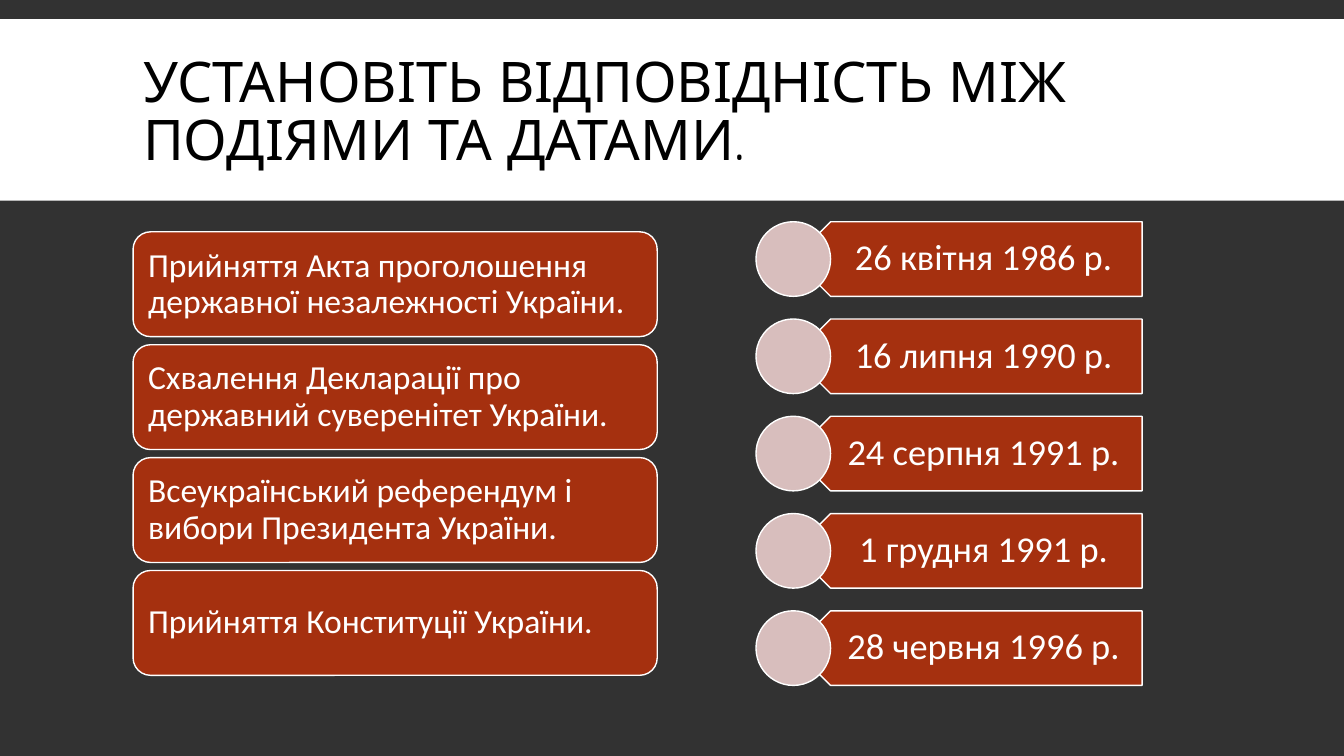
import pptx
import pptx.dml.color
import pptx.enum.shapes
import pptx.enum.text
import pptx.util

COLS, ROWS = 40, 30
KIND = pptx.enum.shapes.MSO_SHAPE
ALIGN = pptx.enum.text.PP_ALIGN
DARK, WHITE, BLACK = "323232", "FFFFFF", "000000"
RUST, ROSE = "A5300F", "D8BEBD"

EVENTS = [
    "Прийняття Акта проголошення державної незалежності України.",
    "Схвалення Декларації про державний суверенітет України.",
    "Всеукраїнський референдум і вибори Президента України.",
    "Прийняття Конституції України.",
]
DATES = [
    "26 квітня 1986 р.",
    "16 липня 1990 р.",
    "24 серпня 1991 р.",
    "1 грудня 1991 р.",
    "28 червня 1996 р.",
]


def paint(fill, code):
    fill.solid()
    fill.fore_color.rgb = pptx.dml.color.RGBColor.from_string(code)


def write(shape, text, size=24, font="Calibri", color=WHITE,
          align=ALIGN.LEFT, lead=0.9, pad=(0.1, 0.1, 0.1, 0.1)):
    frame = shape.text_frame
    frame.word_wrap = True
    frame.auto_size = pptx.enum.text.MSO_AUTO_SIZE.NONE
    frame.vertical_anchor = pptx.enum.text.MSO_ANCHOR.MIDDLE
    (frame.margin_left, frame.margin_top,
     frame.margin_right, frame.margin_bottom) = map(pptx.util.Inches, pad)
    para = frame.paragraphs[0]
    para.alignment = align
    para.line_spacing = lead
    run = para.add_run()
    run.text = text
    run.font.name = font
    run.font.size = pptx.util.Pt(size)
    paint(run.font.fill, color)


class Deck:
    """Holds the style and the current slide; places are in grid units."""

    def __init__(self):
        self.file = pptx.Presentation()
        self.file.slide_width = pptx.util.Inches(13.33)
        self.file.slide_height = pptx.util.Inches(7.5)
        self.slide = self.file.slides.add_slide(self.file.slide_layouts[5])
        paint(self.slide.background.fill, DARK)

    def grid(self, col, row, wide, high):
        x = self.file.slide_width / COLS
        y = self.file.slide_height / ROWS
        return [round(n) for n in (col * x, row * y, wide * x, high * y)]

    def shape(self, kind, place, fill, line=WHITE):
        shape = self.slide.shapes.add_shape(kind, *self.grid(*place))
        shape.shadow.inherit = False
        paint(shape.fill, fill)
        if line:
            paint(shape.line.fill, line)
            shape.line.width = pptx.util.Pt(1)
        else:
            shape.line.fill.background()
        return shape

    def title(self, text, place):
        title = self.slide.shapes.title
        title.left, title.top, title.width, title.height = self.grid(*place)
        write(title, text, size=40, font="Quicksand", color=BLACK,
              lead=0.85, pad=(0.1, 0.05, 0.1, 0.05))

    def band(self, place):
        band = self.shape(KIND.RECTANGLE, place, WHITE, line=None)
        self.slide.shapes.title.element.addprevious(band.element)

    def card(self, text, row):
        card = self.shape(KIND.ROUNDED_RECTANGLE, (3.96, row, 15.6, 4.16), RUST)
        write(card, text)

    def date(self, text, row):
        high = 2.96
        plate = self.shape(KIND.PENTAGON, (23.61, row, 10.38, high), RUST)
        plate.rotation = 180
        label = self.slide.shapes.add_textbox(
            *self.grid(24.18, row, 9.81, high))
        write(label, text, size=26, align=ALIGN.CENTER,
              pad=(0.33, 0.11, 0.2, 0.11))
        self.shape(KIND.OVAL, (22.5, row, 2.22, high), ROSE)


def main():
    deck = Deck()

    # Heading on its white band
    deck.title("УСТАНОВІТЬ ВІДПОВІДНІСТЬ МІЖ ПОДІЯМИ ТА ДАТАМИ.",
               (3.96, 1.24, 32.1, 6.6))
    deck.band((0, 0.76, COLS, 7.2))

    # Events on the left
    for n, text in enumerate(EVENTS):
        deck.card(text, 9.2 + n * 4.48)

    # Dates on the right
    for n, text in enumerate(DATES):
        deck.date(text, 8.8 + n * 3.86)

    deck.file.save("out.pptx")


if __name__ == "__main__":
    main()
